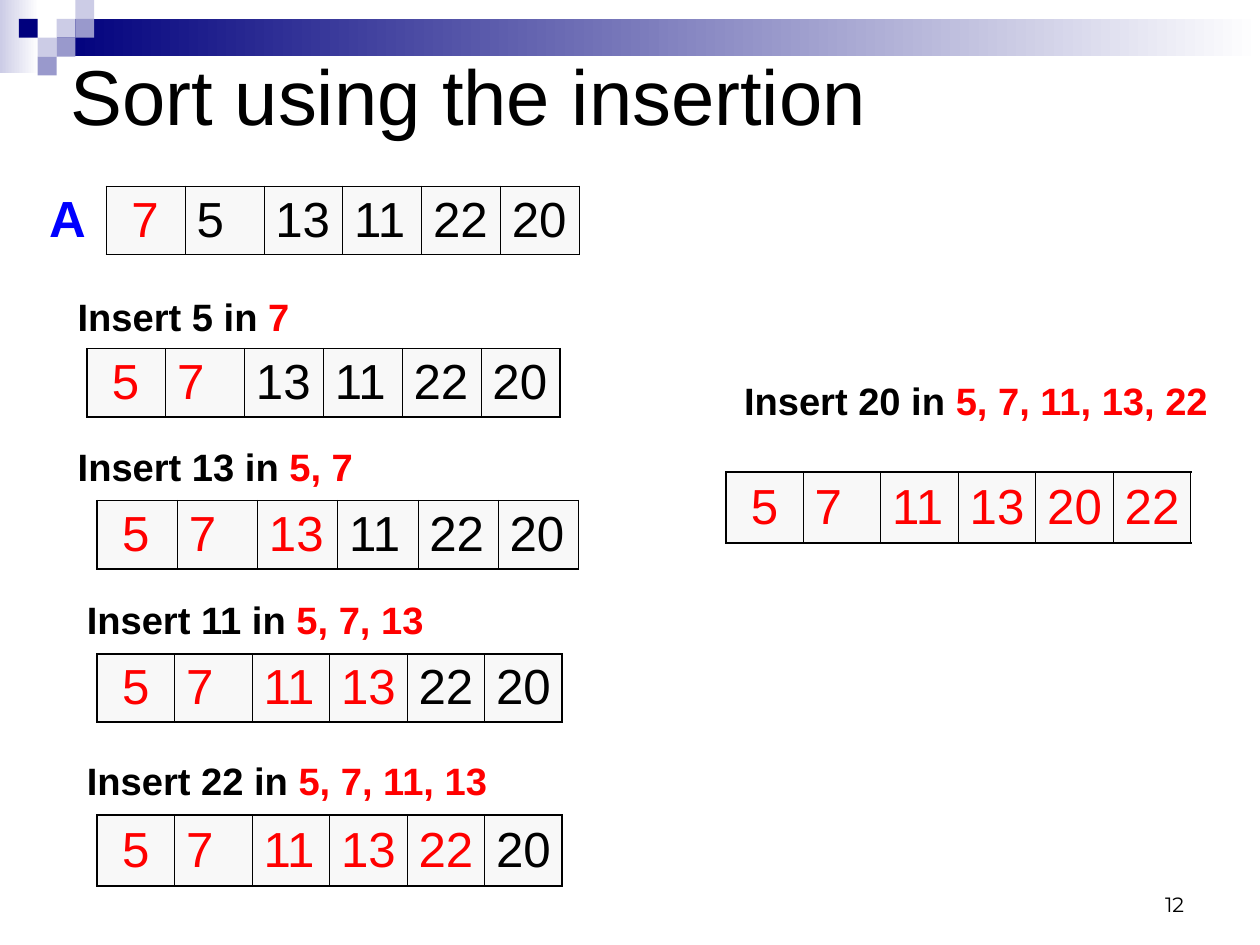
"""Build a slide that steps through an insertion sort of six numbers."""
from lxml import etree
from pptx import Presentation
from pptx.dml.color import RGBColor
from pptx.enum.shapes import MSO_SHAPE
from pptx.enum.text import MSO_ANCHOR, PP_ALIGN
from pptx.oxml.ns import qn
from pptx.util import Inches, Pt

RECTANGLE = MSO_SHAPE.RECTANGLE
TOP, MIDDLE, BOTTOM = MSO_ANCHOR.TOP, MSO_ANCHOR.MIDDLE, MSO_ANCHOR.BOTTOM
LEFT, RIGHT = PP_ALIGN.LEFT, PP_ALIGN.RIGHT

THEME = {
    "black": "000000", "red": "FF0000", "blue": "0000FF", "white": "FFFFFF",
    "navy": "00007D", "lavender": "CCCCE6", "periwinkle": "9999CC", "cell": "F8F8F8",
    "font": "Arial", "number_font": "Montserrat",
    "title": 49, "array_name": 32, "value": 31, "step": 24, "number": 13,
    "thin": 0.45, "thick": 1.08,
}


def write(frame, parts, size, bold=False, font="font", align=LEFT):
    paragraph = frame.paragraphs[0]
    paragraph.alignment = align
    for words, color in parts:
        run = paragraph.add_run()
        run.text = words
        run.font.name = THEME[font]
        run.font.size = Pt(THEME[size])
        run.font.bold = bold
        run.font.color.rgb = RGBColor.from_string(THEME[color])
    return paragraph


def add_label(box, parts, size, anchor=TOP, inset=(0, 0), wrap=True, **style):
    frame = slide.shapes.add_textbox(*map(Inches, box)).text_frame
    frame.word_wrap = wrap
    frame.vertical_anchor = anchor
    frame.margin_left = frame.margin_right = Inches(inset[0])
    frame.margin_top = frame.margin_bottom = Inches(inset[1])
    return write(frame, parts, size, **style)


prs = Presentation()
prs.slide_width, prs.slide_height = Inches(28 / 2.54), Inches(21 / 2.54)
slide = prs.slides.add_slide(prs.slide_layouts[6])

tile = 0.66 / 4
bands = [((0, 0, 0.34, 0.64), ("lavender", "white")),
         ((0.5, tile, 10.53, 2 * tile), ("navy", "white"))]
mosaic = [(3, 1, "lavender"), (4, 0, "lavender"), (4, 1, "periwinkle"),
          (2, 2, "lavender"), (1, 1, "navy"), (3, 2, "periwinkle"),
          (2, 3, "periwinkle")]
tiles = [((column * tile, row * tile, tile, tile), (color,))
         for column, row, color in mosaic]

for box, colors in bands + tiles:
    block = slide.shapes.add_shape(RECTANGLE, *map(Inches, box))
    block.shadow.inherit = False
    block.line.fill.background()
    if len(colors) == 1:
        block.fill.solid()
        block.fill.fore_color.rgb = RGBColor.from_string(THEME[colors[0]])
        continue
    block.fill.gradient()
    block.fill.gradient_angle = 0
    for stop, position, color in zip(block.fill.gradient_stops, (0, 1), colors):
        stop.position = position
        stop.color.rgb = RGBColor.from_string(THEME[color])

add_label((7.9, 7.53, 2.57, 0.55), [("12", "black")], "number", BOTTOM,
          (0.11, 0.06), font="number_font", align=RIGHT)
add_label((0.51, 0, 9.92, 1.65), [("Sort using the insertion", "black")], "title",
          MIDDLE, (0.11, 0.06))
add_label((0.43, 1.63, 0.32, 0.53), [("A", "blue")], "array_name", wrap=False, bold=True)

numbers = [7, 5, 13, 11, 22, 20]
arrays = [
    (0.93, 1.63, 4.14, 0.58),
    (0.76, 3.05, 4.14, 0.58),
    (0.85, 4.38, 4.21, 0.58),
    (0.85, 5.72, 4.07, 0.58),
    (0.85, 7.13, 4.07, 0.62),
    (6.35, 4.13, 4.07, 0.62),
]
headings = [
    None,
    (0.68, 2.57, 2.33, 0.4),
    (0.68, 3.88, 2.92, 0.4),
    (0.76, 5.22, 3.33, 0.4),
    (0.76, 6.63, 3.92, 0.4),
    (6.51, 3.3, 4.17, 0.4),
]

for step, (array_box, heading_box) in enumerate(zip(arrays, headings)):
    if heading_box:
        sorted_part = ", ".join(map(str, sorted(numbers[:step])))
        heading = add_label(heading_box, [(f"Insert {numbers[step]} in ", "black"),
                                          (sorted_part, "red")], "step", bold=True)
        heading.space_before = Pt(15)

    array = slide.shapes.add_table(1, len(numbers), *map(Inches, array_box)).table
    array.first_row = array.horz_banding = False
    values = sorted(numbers[:step + 1]) + numbers[step + 1:]
    for index, value in enumerate(values):
        array.columns[index].width = Inches(array_box[2] / len(numbers))
        cell = array.cell(0, index)
        cell.vertical_anchor = MIDDLE
        cell.margin_left = Inches(0.1)
        cell.margin_right = Inches(0.05)
        cell.margin_top = cell.margin_bottom = Inches(0.04)
        color = "red" if index <= step else "black"
        words = str(value) if index else f" {value}"
        write(cell.text_frame, [(words, color)], "value").space_before = Pt(7.7)

        edges = {"lnL": "thin" if index else "thick",
                 "lnR": "thin" if index < len(values) - 1 else "thick",
                 "lnT": "thick", "lnB": "thick"}
        properties = cell._tc.get_or_add_tcPr()
        for edge, weight in edges.items():
            line = etree.SubElement(properties, qn(f"a:{edge}"), w=str(Pt(THEME[weight])))
            ink = etree.SubElement(line, qn("a:solidFill"))
            etree.SubElement(ink, qn("a:srgbClr"), val=THEME["black"])
        cell.fill.solid()
        cell.fill.fore_color.rgb = RGBColor.from_string(THEME["cell"])

prs.save("out.pptx")
